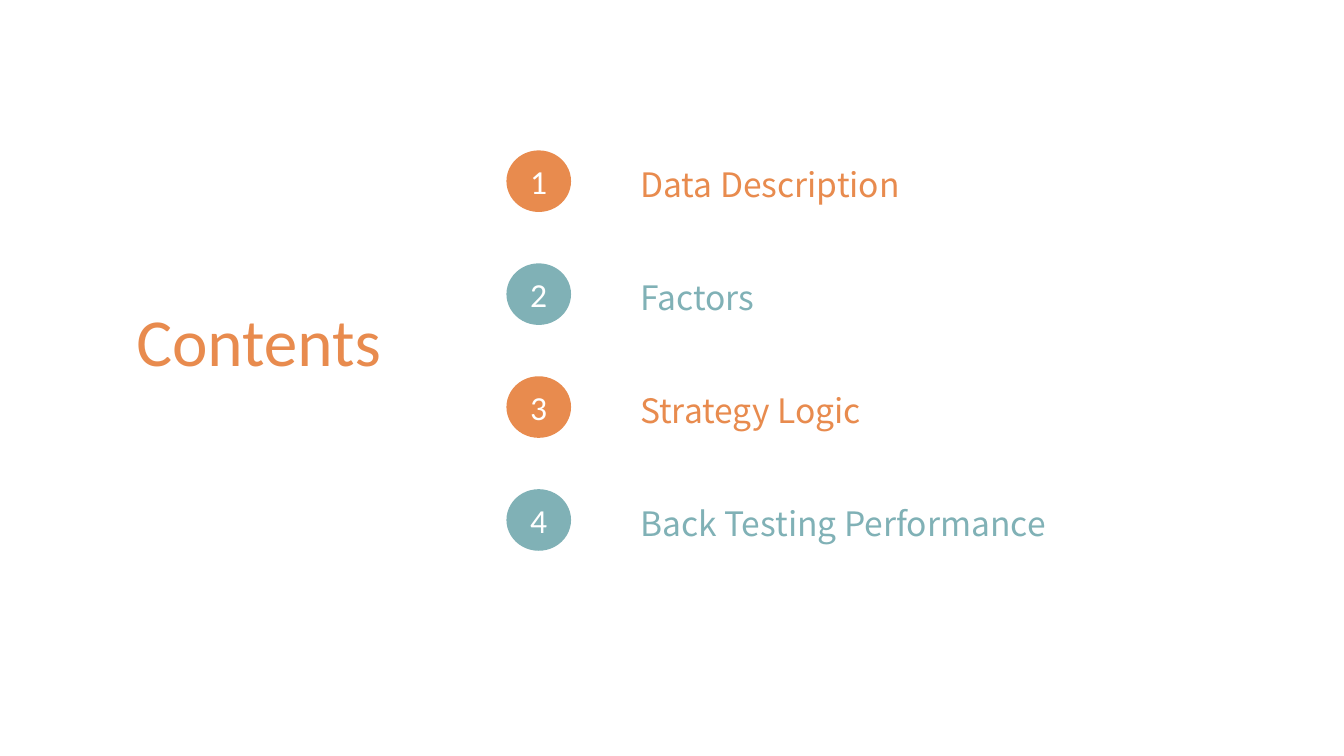
from pptx import Presentation
from pptx.dml.color import RGBColor
from pptx.enum.shapes import MSO_SHAPE as Shape
from pptx.enum.text import MSO_ANCHOR as Anchor, MSO_AUTO_SIZE as AutoSize, PP_ALIGN as Align
from pptx.util import Pt

ORANGE, TEAL, WHITE = "E88B4E", "80B1B6", "FFFFFF"
TITLE_FONT, LABEL_FONT = "Calibri", "Noto Sans CJK SC"

# Label, label width
CHAPTERS = [
    ("Data Description", 187),
    ("Factors", 343),
    ("Strategy Logic", 272),
    ("Back Testing Performance", 258),
]
FIRST_TOP, ROW_PITCH = 80.6, 60.5
LABEL_DROP = 4.6


def color(hex_string):
    return RGBColor.from_string(hex_string)


def write(shape, text, font_name, size, hex_color, align=Align.LEFT,
          anchor=Anchor.TOP, margins=(5.3, 2.7)):
    frame = shape.text_frame
    frame.word_wrap = True
    frame.auto_size = AutoSize.NONE
    frame.vertical_anchor = anchor
    frame.margin_left = frame.margin_right = Pt(margins[0])
    frame.margin_top = frame.margin_bottom = Pt(margins[1])
    frame.text = text
    paragraph = frame.paragraphs[0]
    paragraph.alignment = align
    paragraph.font.name = font_name
    paragraph.font.size = Pt(size)
    paragraph.font.color.rgb = color(hex_color)


def set_title(slide, text):
    title = slide.shapes.title
    title.left, title.top = Pt(67.7), Pt(164.2)
    title.width, title.height = Pt(150.5), Pt(35.3)
    write(title, text, TITLE_FONT, 36, ORANGE, anchor=Anchor.MIDDLE)


def add_number(slide, number, top, hex_color):
    circle = slide.shapes.add_shape(Shape.OVAL, Pt(271.3), Pt(top), Pt(34.6), Pt(33))
    circle.shadow.inherit = False
    circle.fill.solid()
    circle.fill.fore_color.rgb = color(hex_color)
    circle.line.fill.background()
    write(circle, str(number), TITLE_FONT, 18, WHITE, Align.CENTER,
          Anchor.MIDDLE, margins=(0, 0))


def add_label(slide, text, top, width, hex_color):
    label = slide.shapes.add_textbox(Pt(337.7), Pt(top), Pt(width), Pt(27.4))
    write(label, text, LABEL_FONT, 18, hex_color)


def main():
    presentation = Presentation()
    presentation.slide_width, presentation.slide_height = Pt(720), Pt(405)
    title_only = presentation.slide_layouts[5]
    slide = presentation.slides.add_slide(title_only)

    set_title(slide, "Contents")
    for index, (text, width) in enumerate(CHAPTERS):
        top = FIRST_TOP + index * ROW_PITCH
        hex_color = (ORANGE, TEAL)[index % 2]
        add_number(slide, index + 1, top, hex_color)
        add_label(slide, text, top + LABEL_DROP, width, hex_color)

    presentation.save("out.pptx")


if __name__ == "__main__":
    main()
